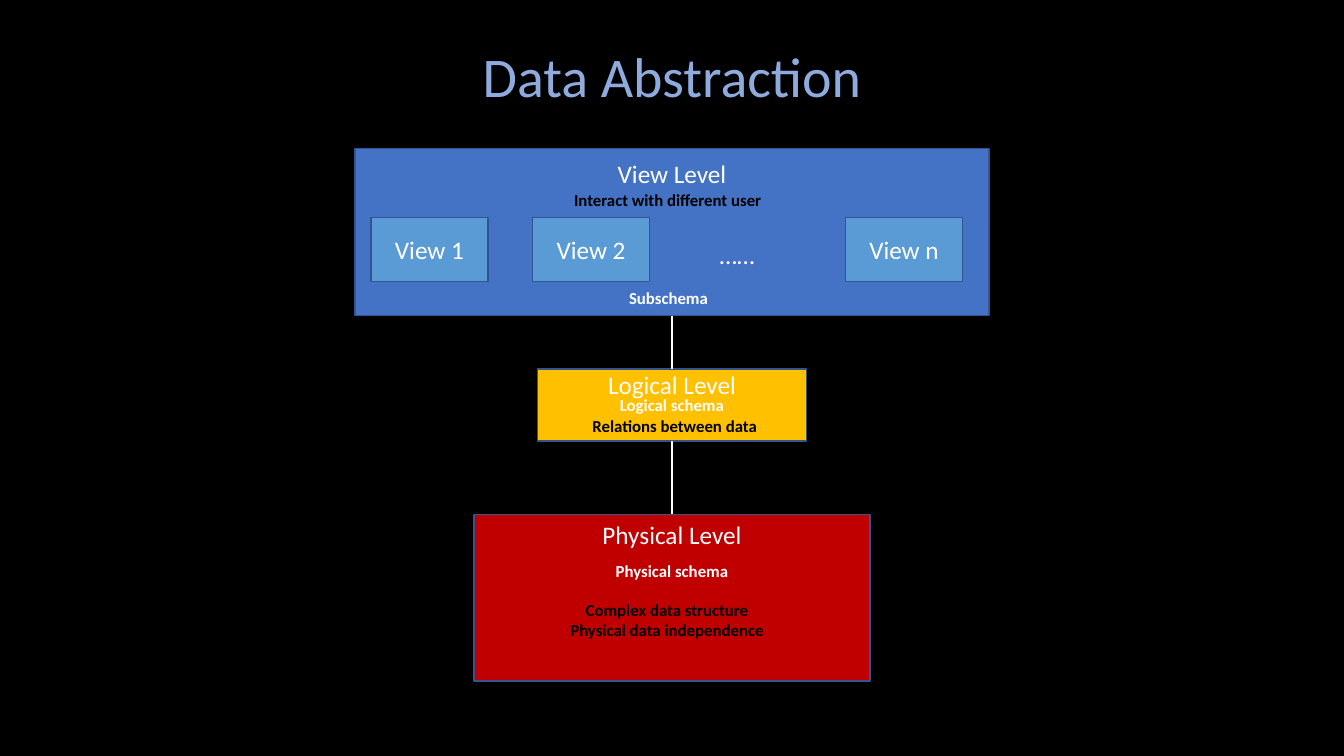
from lxml import etree
from pptx import Presentation
from pptx import util as u
from pptx.dml.color import RGBColor
from pptx.enum import shapes, text
from pptx.oxml.ns import qn

WHITE, BLACK = "FFFFFF", "000000"
CENTER = 480


def color(value):
    return RGBColor.from_string(value)


def write(shape, content, size, value, bold=False):
    frame = shape.text_frame
    frame.text = content
    frame.vertical_anchor = text.MSO_ANCHOR.MIDDLE
    for paragraph in frame.paragraphs:
        paragraph.alignment = text.PP_ALIGN.CENTER
        for run in paragraph.runs:
            run.font.name = "Calibri"
            run.font.size = u.Pt(size)
            run.font.bold = bold
            run.font.color.rgb = color(value)


presentation = Presentation()
presentation.slide_width = u.Pt(960)
presentation.slide_height = u.Pt(540)
slide = presentation.slides.add_slide(presentation.slide_layouts[5])
slide.background.fill.solid()
slide.background.fill.fore_color.rgb = color(BLACK)

title = slide.shapes.title
title.left, title.top = u.Pt(147.5), u.Pt(26)
title.width, title.height = u.Pt(665), u.Pt(55.5)
write(title, "Data Abstraction", 40, "8FAADC")

boxes = [
    (253.5, 106, 453, 119.5, "4472C4", ""),
    (384, 263.5, 192, 51.5, "FFC000", ""),
    (338.5, 367.5, 283, 119, "C00000", ""),
    (265, 155.5, 83.5, 45.5, "5B9BD5", "View 1"),
    (380.5, 155.5, 83.5, 45.5, "5B9BD5", "View 2"),
    (604, 155.5, 83.5, 45.5, "5B9BD5", "View n"),
]
for left, top, width, height, fill, label in boxes:
    box = slide.shapes.add_shape(
        shapes.MSO_SHAPE.RECTANGLE, u.Pt(left), u.Pt(top), u.Pt(width), u.Pt(height)
    )
    box.shadow.inherit = False
    box.fill.solid()
    box.fill.fore_color.rgb = color(fill)
    box.line.color.rgb = color("325491")
    box.line.width = u.Pt(1)
    if label:
        write(box, label, 18, WHITE)

labels = [
    ("View Level", CENTER, 109.5, 93, 29, 18, WHITE),
    ("Logical Level", CENTER, 260, 107, 29, 18, WHITE),
    ("Physical Level", CENTER, 367.5, 115, 29, 18, WHITE),
    ("……", 526.5, 167, 40, 29, 18, WHITE),
    ("Relations between data", 482, 293.5, 133, 22, 12, BLACK),
    ("Interact with different user", 477, 132, 150, 22, 12, BLACK),
    ("Complex data structure\nPhysical data independence", 476.5, 424.5, 154, 36, 12, BLACK),
    ("Logical schema", CENTER, 278.5, 90, 22, 12, WHITE),
    ("Physical schema", CENTER, 396.5, 96, 22, 12, WHITE),
    ("Subschema", 477.5, 201.5, 74, 22, 12, WHITE),
]
for content, middle, top, width, height, size, value in labels:
    label_box = slide.shapes.add_textbox(
        u.Pt(middle - width / 2), u.Pt(top), u.Pt(width), u.Pt(height)
    )
    label_box.text_frame.word_wrap = False
    write(label_box, content, size, value, bold=size == 12)

for start, end, weight in [(225.5, 263.5, 1.5), (315, 367.5, 1.75)]:
    link = slide.shapes.add_connector(
        shapes.MSO_CONNECTOR.STRAIGHT, u.Pt(CENTER), u.Pt(start), u.Pt(CENTER), u.Pt(end)
    )
    link.line.color.rgb = color(WHITE)
    link.line.width = u.Pt(weight)
    etree.SubElement(link._element.spPr, qn("a:effectLst"))

presentation.save("out.pptx")
